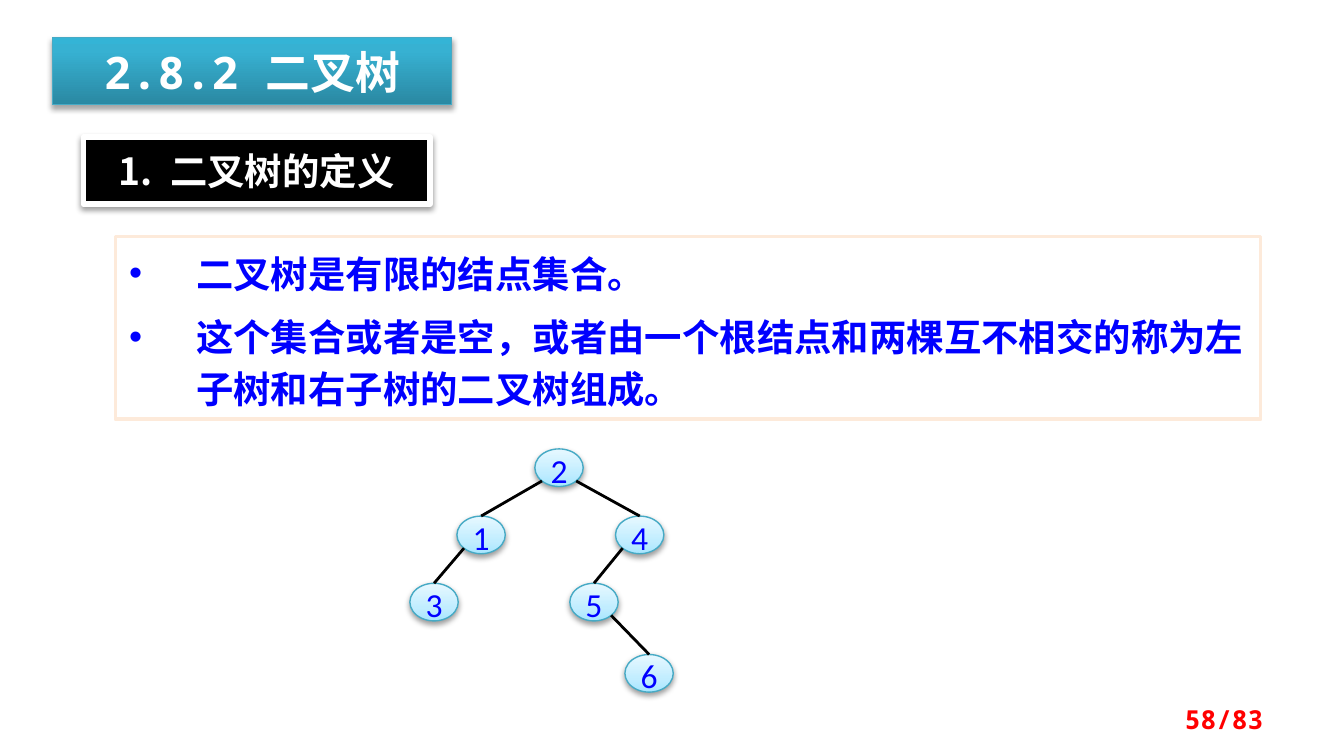
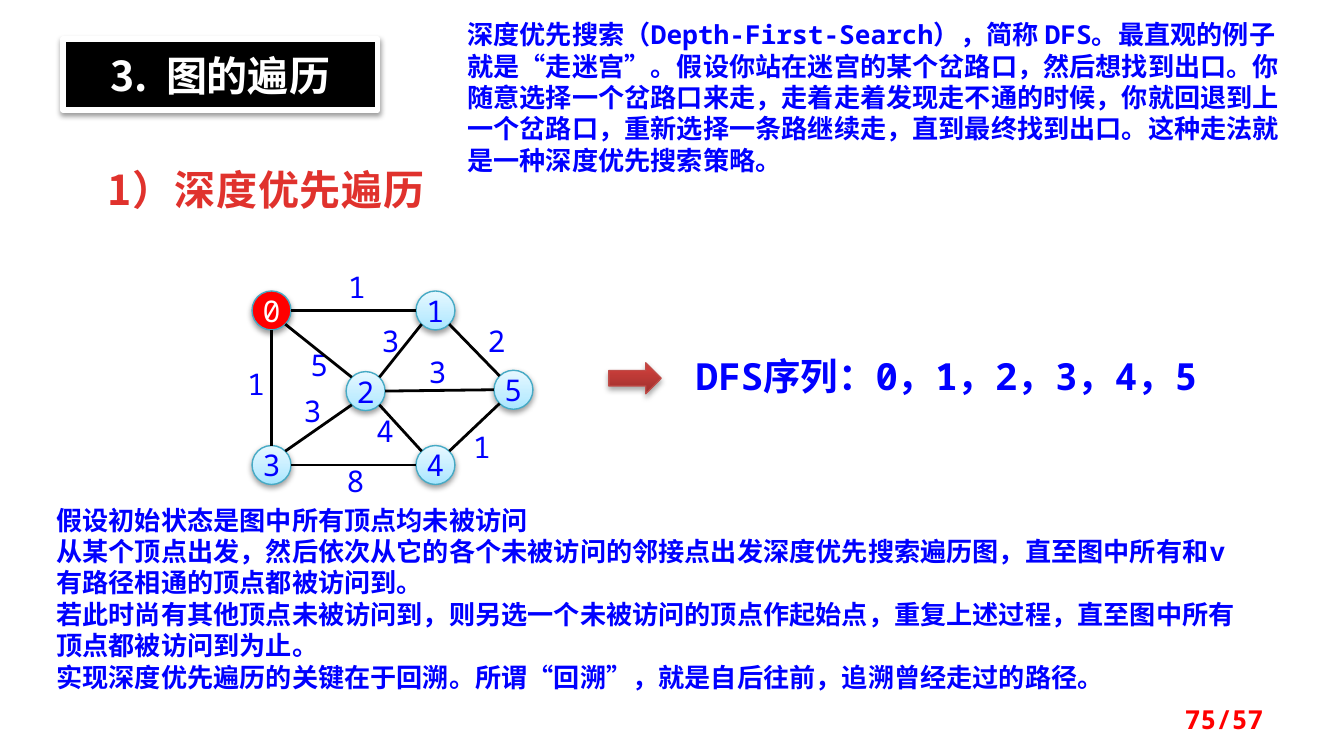
from math import hypot

from lxml import etree
from pptx import Presentation
from pptx import util as u
from pptx.dml.color import RGBColor
from pptx.enum import lang, shapes, text
from pptx.oxml.ns import qn

# Slide size, 16:9
WIDE = u.Inches(10)
HIGH = WIDE * 9 // 16

# Colours and fonts
BLUE = RGBColor(0x00, 0x00, 0xFF)
RED = RGBColor(0xFF, 0x00, 0x00)
BRICK = RGBColor(0xE0, 0x32, 0x2D)
BLACK = RGBColor(0x00, 0x00, 0x00)
WHITE = RGBColor(0xFF, 0xFF, 0xFF)
PEACH = RGBColor(0xFD, 0xEA, 0xDA)
TEAL = RGBColor(0x46, 0xAA, 0xC5)
RUST = RGBColor(0xBF, 0x4C, 0x48)
SKY = [(0, RGBColor(0xA7, 0xE6, 0xFF)), (35, RGBColor(0xC1, 0xED, 0xFF)),
       (100, RGBColor(0xE7, 0xF8, 0xFF))]
SEA = [(0, RGBColor(0x2A, 0x88, 0xA2)), (80, RGBColor(0x37, 0xB1, 0xD2)),
       (100, RGBColor(0x34, 0xB4, 0xD6))]
CLAY = [(0, RGBColor(0x9C, 0x2F, 0x2D)), (80, RGBColor(0xCB, 0x3E, 0x3A)),
        (100, RGBColor(0xCE, 0x3B, 0x37))]
MONO, HAN, PLAIN = "Noto Sans Mono", "Noto Sans CJK SC", "Calibri"
SOFT, DEEP = (38, 1.6), (35, 1.8)  # shadow: opacity %, distance

# Content of the tree slide
TREE = {
    "title": "2.8.2 二叉树",
    "head": ("1.", " ", "二叉树的定义"),
    "list": ["二叉树是有限的结点集合。",
             "这个集合或者是空，或者由一个根结点和两棵互不相交的称为左子树和右子树的二叉树组成。"],
    "nodes": {"2": (4.16, 3.48), "1": (3.58, 3.98), "4": (4.76, 3.98),
              "3": (3.23, 4.48), "5": (4.42, 4.48), "6": (4.83, 5.01)},
    "edges": ["21", "24", "13", "45", "56"],
    "page": "58/83",
}

# Content of the graph slide; edges carry a weight and the label's corner
LEFT, MID, TOP, LOW = 2.02, 3.24, 2.31, 3.46
GRAPH = {
    "head": ("3.", " ", "图的遍历"),
    "sub": "1）深度优先遍历",
    "intro": "深度优先搜索（Depth-First-Search），简称 DFS。最直观的例子就是“走迷宫”。"
             "假设你站在迷宫的某个岔路口，然后想找到出口。你随意选择一个岔路口来走，"
             "走着走着发现走不通的时候，你就回退到上一个岔路口，重新选择一条路继续走，"
             "直到最终找到出口。这种走法就是一种深度优先搜索策略。",
    "order": "DFS序列：0，1，2，3，4，5",
    "nodes": {"0": (LEFT, TOP), "1": (MID, TOP), "2": (2.72, 2.91),
              "3": (LEFT, LOW), "4": (MID, LOW), "5": (3.82, 2.9)},
    "edges": [("03", "1", 1.8, 2.75), ("02", "5", 2.27, 2.61),
              ("01", "1", 2.55, 2.03), ("34", "8", 2.54, 3.47),
              ("23", "3", 2.22, 2.95), ("25", "3", 3.15, 2.66),
              ("15", "2", 3.59, 2.43), ("45", "1", 3.48, 3.22),
              ("12", "3", 2.8, 2.43), ("24", "4", 2.76, 3.1)],
    "notes": ["假设初始状态是图中所有顶点均未被访问",
              "从某个顶点出发，然后依次从它的各个未被访问的邻接点出发深度优先搜索遍历图，"
              "直至图中所有和v有路径相通的顶点都被访问到。",
              "若此时尚有其他顶点未被访问到，则另选一个未被访问的顶点作起始点，"
              "重复上述过程，直至图中所有顶点都被访问到为止。",
              "实现深度优先遍历的关键在于回溯。所谓“回溯”，就是自后往前，追溯曾经走过的路径。"],
    "page": "75/57",
}


def sub(node, tag, **attrs):
    return etree.SubElement(node, qn(tag), {k: str(v) for k, v in attrs.items()})


def place(shape, *at):
    for key, val in zip(("left", "top", "width", "height"), at):
        setattr(shape, key, u.Inches(val))
    return shape


def paint(shape, fill, line=None, wide=0.75, shade=None):
    """Fill is one colour or a list of gradient stops."""
    props = shape._element.spPr
    if isinstance(fill, list):
        shape.fill.gradient()
        grad = props.find(qn("a:gradFill"))
        grad.clear()
        stops = sub(grad, "a:gsLst")
        for pos, col in fill:
            sub(sub(stops, "a:gs", pos=pos * 1000), "a:srgbClr", val=col)
        sub(grad, "a:lin", ang=270 * 60000, scaled=0)
    else:
        shape.fill.solid()
        shape.fill.fore_color.rgb = fill
    if line is None:
        shape.line.fill.background()
    else:
        shape.line.color.rgb = line
        shape.line.width = u.Pt(wide)
    shape.shadow.inherit = False
    if shade:
        drop = sub(props.find(qn("a:effectLst")), "a:outerShdw",
                   blurRad=u.Pt(3.1), dist=u.Pt(shade[1]), dir=90 * 60000,
                   algn="ctr", rotWithShape=0)
        sub(sub(drop, "a:srgbClr", val=BLACK), "a:alpha", val=shade[0] * 1000)


def write(shape, paras, size, ink=BLUE, name=MONO, bold=True, lead=None,
          align="LEFT", anchor="TOP", inset=(0.1, 0.05), bullet=False, gap=0, track=0):
    """A paragraph is a string or a tuple of runs."""
    frame = shape.text_frame
    form = {"word_wrap": True, "auto_size": text.MSO_AUTO_SIZE.NONE,
            "vertical_anchor": text.MSO_ANCHOR[anchor],
            "margin_left": u.Inches(inset[0]), "margin_right": u.Inches(inset[0]),
            "margin_top": u.Inches(inset[1]), "margin_bottom": u.Inches(inset[1])}
    for key, val in form.items():
        setattr(frame, key, val)
    for i, runs in enumerate(paras):
        para = frame.add_paragraph() if i else frame.paragraphs[0]
        para.alignment = text.PP_ALIGN[align]
        para.line_spacing = u.Pt(lead or size * 1.2)
        para.space_before = u.Pt(gap if i else 0)
        props = para._p.get_or_add_pPr()
        indent = u.Inches(0.5) if bullet else 0
        props.set("marL", str(indent))
        props.set("indent", str(-indent))
        if bullet:
            sub(props, "a:buFont", typeface="Arial")
            sub(props, "a:buChar", char="•")
        else:
            sub(props, "a:buNone")
        for part in [runs] if isinstance(runs, str) else runs:
            run = para.add_run()
            run.text = part
            look = {"size": u.Pt(size), "bold": bold, "name": name,
                    "language_id": lang.MSO_LANGUAGE_ID.SIMPLIFIED_CHINESE}
            for key, val in look.items():
                setattr(run.font, key, val)
            run.font.color.rgb = ink
            props = run._r.get_or_add_rPr()
            sub(props, "a:ea", typeface=HAN)
            space = 4.5 if part == " " else track  # wide gap after a number
            if space:
                props.set("spc", str(int(space * 100)))


def box(slide, at, paras, size, **form):
    area = slide.shapes.add_textbox(*map(u.Inches, at))
    write(area, paras, size, **form)


def block(home, kind, at, fill, *style):
    shape = home.shapes.add_shape(shapes.MSO_SHAPE[kind], *map(u.Inches, at))
    paint(shape, fill, *style)
    return shape


def badge(shape, head, size):
    """Black section heading with a white frame."""
    paint(shape, BLACK, WHITE, 3, SOFT)
    write(shape, [head], size, WHITE, HAN, align="CENTER", anchor="MIDDLE",
          inset=(0.1, 0.08))


def mark(shape, label, size, ink=BLUE, name=MONO):
    write(shape, [label], size, ink, name, False, lead=size + 1,
          align="CENTER", inset=(0, 0))


def node(home, label, mid, dim, size, name=MONO, fill=SKY, ink=BLUE):
    at = (mid[0] - dim[0] / 2, mid[1] - dim[1] / 2, *dim)
    mark(block(home, "OVAL", at, fill, TEAL, 0.75, SOFT), label, size, ink, name)


def sign(val):
    return 0 if abs(val) < 0.05 else 1 if val > 0 else -1


def rim(mid, dim, dx, dy):
    """Point of an ellipse's edge in one of eight directions."""
    far = hypot(dx, dy)
    return mid[0] + dim[0] / 2 * dx / far, mid[1] + dim[1] / 2 * dy / far


def edge(home, start, end):
    link = home.shapes.add_connector(shapes.MSO_CONNECTOR.STRAIGHT,
                                     *map(u.Inches, start + end))
    link.line.color.rgb = BLACK
    link.line.width = u.Pt(1.5)
    sub(link._element.spPr, "a:effectLst")


def start(deck, page):
    slide = deck.slides.add_slide(deck.slide_layouts[1])
    box(slide, (7.17, 5.2, 2.33, 0.3), [page], 14, ink=RED, align="RIGHT",
        anchor="MIDDLE")
    return slide, slide.shapes.title, slide.placeholders[1]


def tree(deck):
    slide, title, body = start(deck, TREE["page"])
    place(title, 0.39, 0.28, 2.97, 0.5)
    paint(title, SEA, TEAL, 0.75, DEEP)
    write(title, [TREE["title"]], 24, WHITE, align="CENTER", anchor="MIDDLE")
    badge(block(slide, "RECTANGLE", (0.62, 1.02, 2.58, 0.5), BLACK), TREE["head"], 20)
    place(body, 0.86, 1.76, 8.52, 1.36)
    paint(body, WHITE, PEACH, 2)
    write(body, TREE["list"], 20, lead=28, bullet=True, gap=6)
    # Each edge runs from the parent's lower side to the child's top
    home, dim, nodes = slide.shapes.add_group_shape(), (0.36, 0.28), TREE["nodes"]
    for label, mid in nodes.items():
        node(home, label, mid, dim, 18, PLAIN)
    for up, down in TREE["edges"]:
        a, b = nodes[up], nodes[down]
        edge(home, rim(a, dim, sign(b[0] - a[0]), 1), rim(b, dim, 0, -1))


def graph(deck):
    slide, title, body = start(deck, GRAPH["page"])
    badge(place(title, 0.47, 0.29, 2.34, 0.53), GRAPH["head"], 22)
    box(slide, (0.7, 1.17, 2.81, 0.47), [GRAPH["sub"]], 22, ink=BRICK, name=HAN,
        anchor="MIDDLE", track=0.5)
    box(slide, (3.38, 0.09, 6.39, 1.28), [GRAPH["intro"]], 14)
    box(slide, (5.08, 2.58, 4.38, 0.44), [GRAPH["order"]], 20)
    block(slide, "RIGHT_ARROW", (4.53, 2.7, 0.39, 0.23), CLAY, RUST, 0.75, DEEP)
    write(place(body, 0.32, 3.7, 9.03, 1.51), GRAPH["notes"], 14)
    # Weights lie under the nodes, edges above
    home, dim, nodes = slide.shapes.add_group_shape(), (0.29, 0.29), GRAPH["nodes"]
    for _, cost, x, y in GRAPH["edges"]:
        mark(block(home, "RECTANGLE", (x, y, 0.21, 0.22), WHITE), cost, 16)
    for label, mid in nodes.items():
        look = {"fill": RED, "ink": WHITE} if label == "0" else {}
        node(home, label, mid, dim, 16, **look)
    for (one, two), *_ in GRAPH["edges"]:
        a, b = nodes[one], nodes[two]
        dx, dy = sign(b[0] - a[0]), sign(b[1] - a[1])
        edge(home, rim(a, dim, dx, dy), rim(b, dim, -dx, -dy))


def main():
    deck = Presentation()
    deck.slide_width, deck.slide_height = WIDE, HIGH
    tree(deck)
    graph(deck)
    deck.save("out.pptx")


if __name__ == "__main__":
    main()
